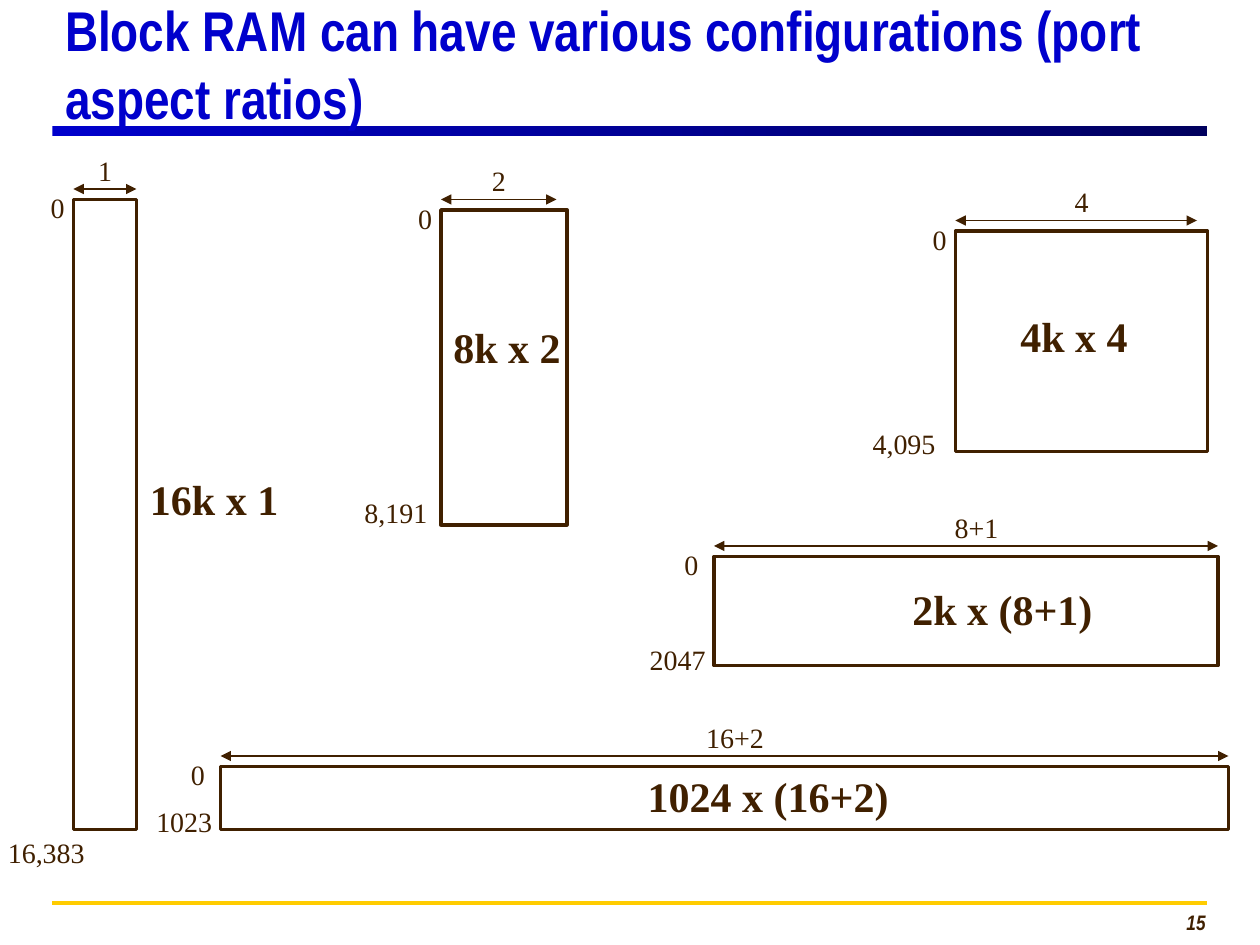
from pptx import Presentation
from pptx.dml.color import RGBColor
from pptx.enum.shapes import MSO_CONNECTOR as Conn, MSO_SHAPE as Shape
from pptx.enum.text import MSO_ANCHOR as Anchor, MSO_AUTO_SIZE as Fit, PP_ALIGN as Align
from pptx.oxml.ns import qn
from pptx.util import Inches, Pt
from lxml.etree import SubElement

BROWN = RGBColor(0x40, 0x20, 0x00)
BLUE = RGBColor(0x00, 0x00, 0xCC)
NAVY = RGBColor(0x00, 0x00, 0x5E)
GOLD = RGBColor(0xFF, 0xCC, 0x00)
SERIF, SANS = "Times New Roman", "Arial Narrow"
WIDE, HIGH = Inches(10), Inches(7.5)
COLS, ROWS = 120, 90


def grid(x, y, w, h):
    return [int(v) for v in (x * WIDE / COLS, y * HIGH / ROWS,
                             w * WIDE / COLS, h * HIGH / ROWS)]


def style(frame, words, size=16, face=SERIF, color=BROWN, bold=False,
          slant=False, align=Align.LEFT, wrap=True):
    frame.word_wrap = wrap
    frame.auto_size = Fit.NONE
    para = frame.paragraphs[0]
    para.alignment = align
    run = para.add_run()
    run.text = words
    font = run.font
    font.size, font.name, font.bold, font.italic = Pt(size), face, bold, slant
    font.color.rgb = color


def text(slide, box, words, **form):
    style(slide.shapes.add_textbox(*grid(*box)).text_frame, words, **form)


def rule(slide, x, y, w, color, width, heads=False):
    left, top, span, _ = grid(x, y, w, 0)
    line = slide.shapes.add_connector(Conn.STRAIGHT, left, top, left + span, top)
    line.line.color.rgb = color
    line.line.width = Pt(width)
    if heads:
        for end in ("a:headEnd", "a:tailEnd"):
            SubElement(line.line._get_or_add_ln(), qn(end), type="triangle")
    SubElement(line._element.spPr, qn("a:effectLst"))


def header(slide, box):
    x, y, w, h = box
    title = slide.shapes.title
    title.left, title.top, title.width, title.height = grid(*box)
    title.text_frame.vertical_anchor = Anchor.MIDDLE
    style(title.text_frame,
          "Block RAM can have various configurations (port aspect ratios)",
          size=32, face=SANS, color=BLUE, bold=True)
    bar = slide.shapes.add_shape(Shape.RECTANGLE, *grid(x, y + h + 1, w, 1))
    bar.shadow.inherit = False
    bar.line.fill.background()
    bar.fill.gradient()
    bar.fill.gradient_angle = 0
    for stop, color in zip(bar.fill.gradient_stops, (BLUE, NAVY)):
        stop.color.rgb = color
    title.element.addprevious(bar.element)


def footer(slide, box):
    x, y, w, h = box
    rule(slide, x, y, w, GOLD, 2.5)
    text(slide, (x + w - 25, y, 26, h), "15", size=12, face=SANS, bold=True,
         slant=True, align=Align.RIGHT)


def memory(slide, box, name, spot, bits, span, mid, last, low, align):
    x, y, w, h = box
    rect = slide.shapes.add_shape(Shape.RECTANGLE, *grid(*box))
    rect.shadow.inherit = False
    rect.fill.background()
    rect.line.color.rgb = BROWN
    rect.line.width = Pt(2)
    rule(slide, x, y - 1, span, BROWN, 0.75, heads=True)
    text(slide, (x + mid - 4, y - 5, 8, 4.4), bits, align=Align.CENTER)
    text(slide, (x - 4, y - 1.4, 5, 4.4), "0", align=align)
    dx, dy, wide = low
    text(slide, (x + dx, y + h + dy, wide, 4.4), last, align=align)
    dx, dy, wide = spot
    text(slide, (x + dx, y + dy, wide, 6), name, size=24, bold=True, wrap=False)


MEMS = [
    ((7, 19, 6, 60), "16k x 1", (6.1, 25.5, 14.6), "1", 6, 3,
     "16,383", (-9, 0, 12.8), Align.CENTER),
    ((91, 22, 24, 21), "4k x 4", (5, 7, 12.6), "4", 23, 12,
     "4,095", (-10, -3, 10.2), Align.CENTER),
    ((42, 20, 12, 30), "8k x 2", (0, 10, 12.6), "2", 11, 5.5,
     "8,191", (-10.8, -3.4, 13), Align.CENTER),
    ((68, 53, 48, 10.4), "2k x (8+1)", (17.7, 2, 19.6), "8+1", 48, 25,
     "2047", (-7.3, -2.8, 8), Align.LEFT),
    ((21, 73, 96, 6), "1024 x (16+2)", (39.5, -0.2, 25.3), "16+2", 96, 49,
     "1023", (-7.3, -3, 8), Align.LEFT),
]


def main():
    deck = Presentation()
    deck.slide_width, deck.slide_height = WIDE, HIGH
    slide = deck.slides.add_slide(deck.slide_layouts[5])
    header(slide, (5, 1, 110, 10))
    for mem in MEMS:
        memory(slide, *mem)
    footer(slide, (5, 86, 110, 3.6))
    deck.save("out.pptx")


if __name__ == "__main__":
    main()
